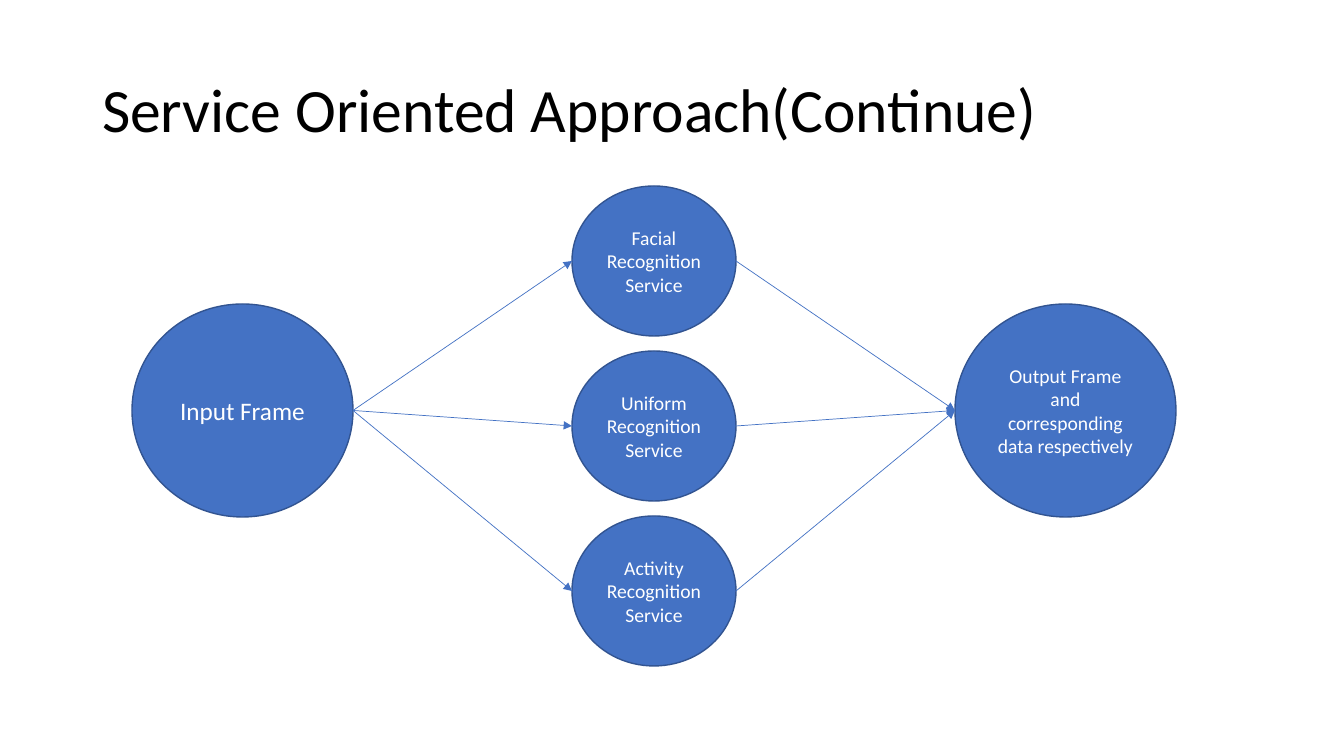
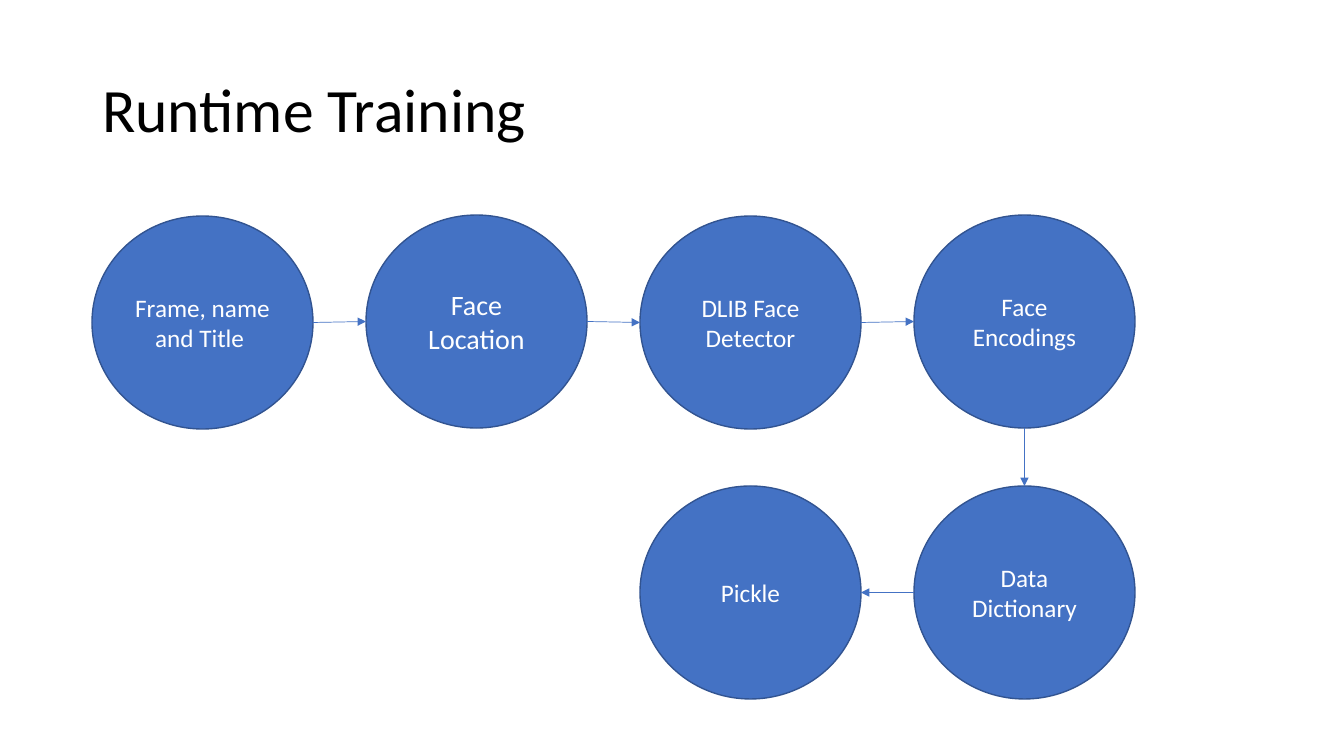
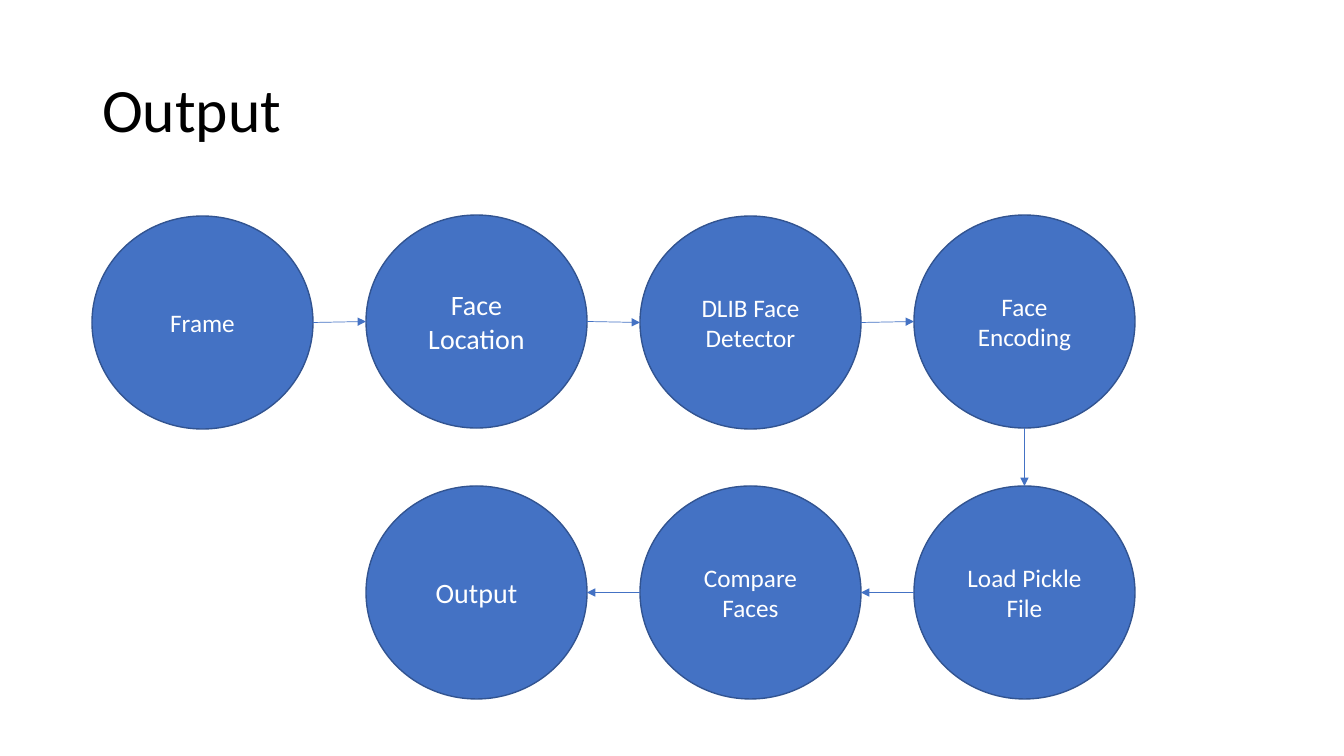
from lxml import etree
from pptx import Presentation
from pptx import util as u
from pptx.dml.color import RGBColor
from pptx.enum import shapes, text
from pptx.oxml.ns import qn

# Shared look
SLIDE_WIDTH, SLIDE_HEIGHT = 1344, 756
EMU_PER_PX = 12192000 / SLIDE_WIDTH
COLOURS = {"ink": "000000", "paper": "FFFFFF", "circle": "4472C4", "outline": "325491"}
FONT = "Calibri"
TITLE_ONLY = 5
TITLE_BOX = (92, 40, 1159, 146)
BIG, SMALL = (221, 213), (164, 150)

# Connection sites of an ellipse
TOP, LEFT, BOTTOM, RIGHT = 0, 2, 4, 6

# Grid of the flow slides
GRID_LEFT, COLUMN_STEP = 92, 274
ROW_TOPS = (215, 486)


def px(length):
    return u.Emu(round(length * EMU_PER_PX))


def colour(name):
    return RGBColor.from_string(COLOURS[name])


def apply(target, values):
    for name, value in values.items():
        setattr(target, name, value)


def write(frame, words, size, ink, **para_format):
    frame.text = words
    apply(frame, {"word_wrap": True, "vertical_anchor": text.MSO_ANCHOR.MIDDLE})
    para = frame.paragraphs[0]
    apply(para, para_format)
    font = para.runs[0].font
    apply(font, {"name": FONT, "size": u.Pt(size)})
    font.color.rgb = colour(ink)


def add_page(deck, title):
    page = deck.slides.add_slide(deck.slide_layouts[TITLE_ONLY])
    frame = page.shapes.title.text_frame
    write(frame, title, 44, "ink", alignment=text.PP_ALIGN.LEFT, line_spacing=0.9)
    frame.auto_size = text.MSO_AUTO_SIZE.NONE
    return page


def add_circle(page, words, left, top, extent=BIG, size=18):
    box = (px(length) for length in (left, top, *extent))
    circle = page.shapes.add_shape(shapes.MSO_SHAPE.OVAL, *box)
    circle.shadow.inherit = False
    circle.fill.solid()
    circle.fill.fore_color.rgb = colour("circle")
    circle.line.color.rgb = colour("outline")
    circle.line.width = u.Pt(1)
    write(circle.text_frame, words, size, "paper", alignment=text.PP_ALIGN.CENTER)
    return circle


def site_point(circle, site):
    across = {LEFT: 0, RIGHT: circle.width}.get(site, circle.width // 2)
    down = {TOP: 0, BOTTOM: circle.height}.get(site, circle.height // 2)
    return circle.left + across, circle.top + down


def add_arrow(page, start, start_site, end, end_site):
    arrow = page.shapes.add_connector(
        shapes.MSO_CONNECTOR.STRAIGHT,
        *site_point(start, start_site), *site_point(end, end_site))
    arrow.line.color.rgb = colour("circle")
    arrow.line.width = u.Pt(0.5)
    # Arrowhead, no shadow
    element = arrow._element
    etree.SubElement(arrow.line._get_or_add_ln(), qn("a:tailEnd"), type="triangle")
    etree.SubElement(element.spPr, qn("a:effectLst"))
    # Join both ends; begin_connect knows only the four sites of a rectangle
    joints = element.find(".//" + qn("p:cNvCxnSpPr"))
    for tag, circle, site in (("a:stCxn", start, start_site), ("a:endCxn", end, end_site)):
        etree.SubElement(joints, qn(tag), id=str(circle.shape_id), idx=str(site))


def add_services_page(deck):
    page = add_page(deck, "Service Oriented Approach(Continue)")
    source = add_circle(page, "Input Frame", 132, 304)
    result = add_circle(page, "Output Frame and corresponding data respectively",
                        955, 304, size=14)
    for index, task in enumerate(("Facial", "Uniform", "Activity")):
        service = add_circle(page, f"{task} Recognition Service",
                             572, 186 + 165 * index, SMALL, 14)
        add_arrow(page, source, RIGHT, service, LEFT)
        add_arrow(page, service, RIGHT, result, LEFT)


def add_flow_page(deck, title, upper, lower):
    """Steps run rightwards in the upper row, then leftwards in the lower row."""
    page = add_page(deck, title)
    last_column = len(upper) - 1
    # Even columns of the upper row sit one px lower
    places = [(column, ROW_TOPS[0] + (column + 1) % 2) for column in range(len(upper))]
    places += [(last_column - index, ROW_TOPS[1]) for index in range(len(lower))]
    circles = [add_circle(page, words, GRID_LEFT + COLUMN_STEP * column, top, size=size)
               for (words, size), (column, top) in zip(upper + lower, places)]
    for index, (start, end) in enumerate(zip(circles, circles[1:])):
        if index < last_column:
            sites = RIGHT, LEFT
        elif index == last_column:
            sites = BOTTOM, TOP
        else:
            sites = LEFT, RIGHT
        add_arrow(page, start, sites[0], end, sites[1])


def main():
    deck = Presentation()
    apply(deck, {"slide_width": px(SLIDE_WIDTH), "slide_height": px(SLIDE_HEIGHT)})
    title = deck.slide_layouts[TITLE_ONLY].placeholders[0]
    apply(title, dict(zip(("left", "top", "width", "height"), map(px, TITLE_BOX))))

    add_services_page(deck)
    detection = [("Face Location", 20), ("DLIB Face Detector", 18)]
    add_flow_page(deck, "Runtime Training",
                  [("Frame, name and Title ", 18), *detection, ("Face Encodings", 18)],
                  [("Data Dictionary", 18), ("Pickle", 18)])
    add_flow_page(deck, "Output",
                  [("Frame", 18), *detection, ("Face Encoding", 18)],
                  [("Load Pickle File", 18), ("Compare Faces", 18), ("Output", 20)])
    deck.save("out.pptx")


if __name__ == "__main__":
    main()
